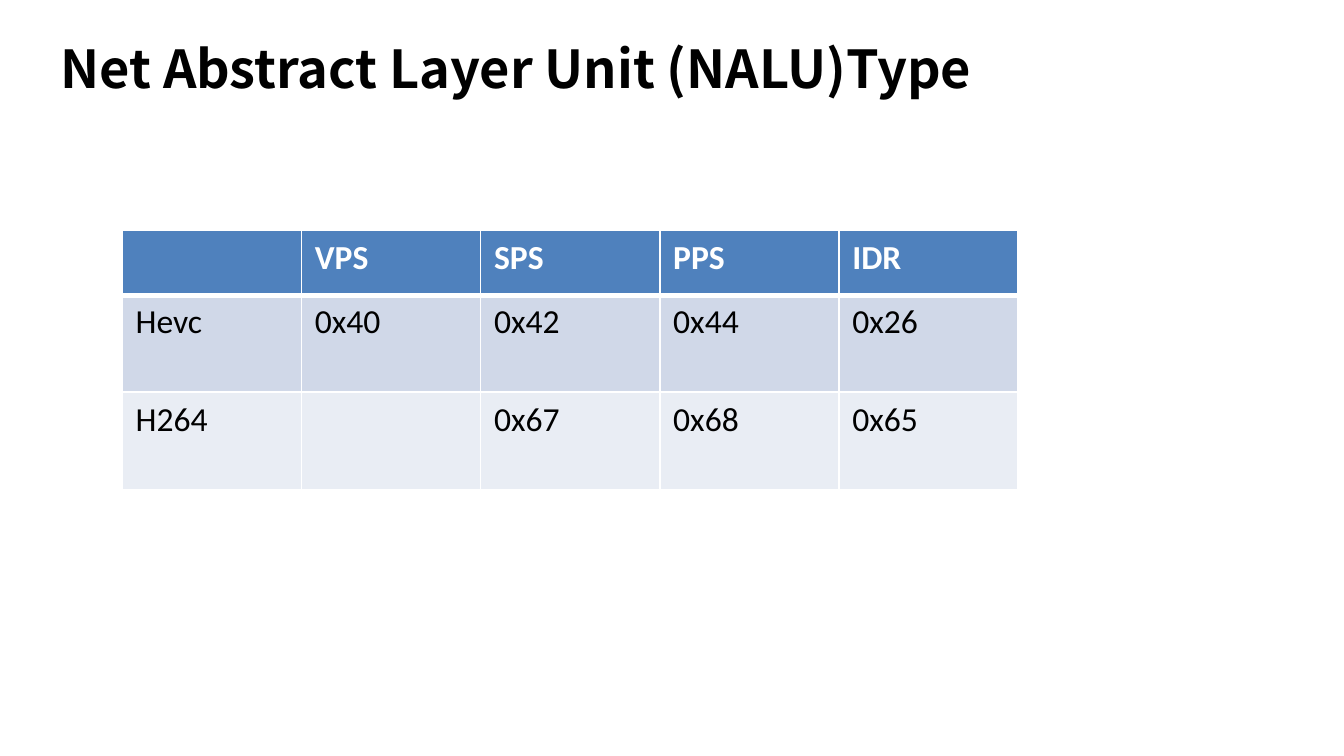
"""Build the NALU type slide with its title and code table."""
from dataclasses import dataclass
from typing import Any

from lxml.etree import SubElement
from pptx import Presentation
from pptx.dml.color import RGBColor
from pptx.enum.text import MSO_ANCHOR, MSO_AUTO_SIZE, PP_ALIGN
from pptx.oxml.ns import qn
from pptx.util import Pt


@dataclass(frozen=True)
class RowStyle:
    height: float
    fill: str
    color: str
    bold: bool
    top: float
    bottom: float


def rgb(value: str) -> RGBColor:
    return RGBColor.from_string(value)


def set_attrs(obj: Any, values: dict[str, Any]) -> None:
    for name, value in values.items():
        setattr(obj, name, value)


def write(tf: Any, text: str, font: str, size: float, color: str, bold: bool) -> None:
    p = tf.paragraphs[0]
    p.alignment = PP_ALIGN.LEFT
    r = p.add_run()
    r.text = text
    set_attrs(r.font, {"name": font, "size": Pt(size), "bold": bold})
    r.font.color.rgb = rgb(color)


def add_borders(cell: Any, widths: dict[str, float]) -> None:
    tc_pr = cell._tc.get_or_add_tcPr()
    for side, width in widths.items():
        ln = SubElement(tc_pr, qn(f"a:ln{side}"), w=str(Pt(width)))
        fill = SubElement(ln, qn("a:solidFill"))
        SubElement(fill, qn("a:srgbClr"), val="FFFFFF")


def draw_cell(cell: Any, text: str, style: RowStyle) -> None:
    add_borders(cell, {"L": 1, "R": 1, "T": style.top, "B": style.bottom})
    cell.fill.solid()
    cell.fill.fore_color.rgb = rgb(style.fill)
    if text:
        write(cell.text_frame, text, "Calibri", 18, style.color, style.bold)


STYLES = [
    RowStyle(34.8, "4F81BD", "FFFFFF", True, 1, 3),
    RowStyle(52, "D0D8E8", "000000", False, 3, 1),
    RowStyle(52, "E9EDF4", "000000", False, 1, 1),
]
CODES = [
    ["", "VPS", "SPS", "PPS", "IDR"],
    ["Hevc", "0x40", "0x42", "0x44", "0x26"],
    ["H264", "", "0x67", "0x68", "0x65"],
]

prs = Presentation()
set_attrs(prs, {"slide_width": Pt(720), "slide_height": Pt(405)})
s = prs.slides.add_slide(prs.slide_layouts[5])

title = s.shapes.title
set_attrs(title, {"left": Pt(25.2), "top": Pt(16.6), "width": Pt(663), "height": Pt(39)})
tf = title.text_frame
set_attrs(tf, {"word_wrap": True, "auto_size": MSO_AUTO_SIZE.NONE,
               "vertical_anchor": MSO_ANCHOR.MIDDLE})
write(tf, "Net Abstract Layer Unit (NALU)Type", "Noto Sans CJK SC", 28, "000000", True)

height = sum(style.height for style in STYLES)
table = s.shapes.add_table(len(CODES), len(CODES[0]), Pt(65.5), Pt(123.4),
                           Pt(480), Pt(height)).table
for row, style, texts in zip(table.rows, STYLES, CODES):
    row.height = Pt(style.height)
    for cell, text in zip(row.cells, texts):
        draw_cell(cell, text, style)

prs.save("out.pptx")
